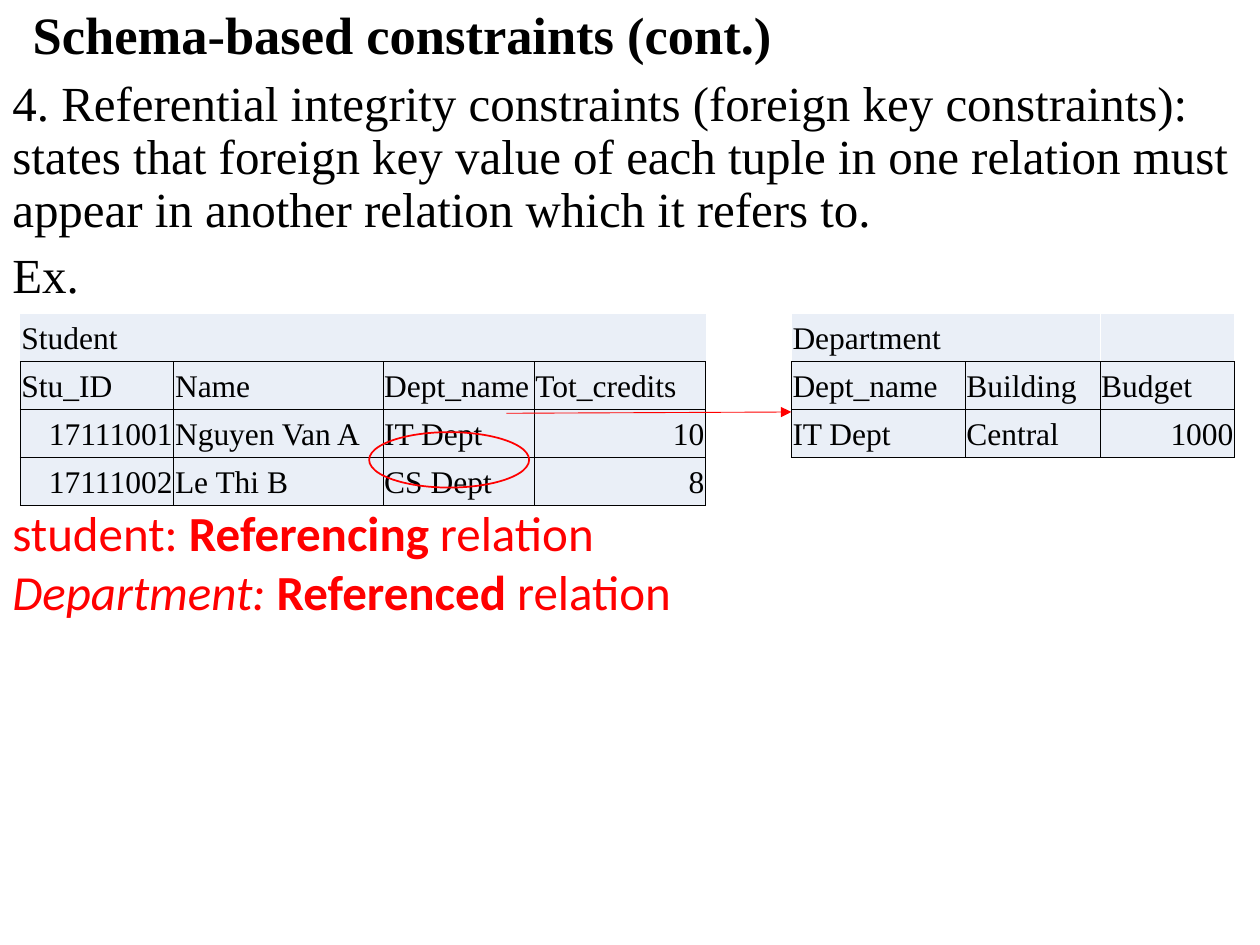
from lxml.etree import SubElement
from pptx import Presentation
from pptx.dml.color import RGBColor
from pptx.enum.shapes import MSO_CONNECTOR, MSO_SHAPE
from pptx.enum.text import MSO_ANCHOR, PP_ALIGN
from pptx.oxml.ns import qn
from pptx.util import Inches, Pt

BLACK = RGBColor(0, 0, 0)
WHITE = RGBColor(255, 255, 255)
RED = RGBColor(255, 0, 0)
PALE = RGBColor(0xEA, 0xEF, 0xF7)
SERIF, SANS = "Times New Roman", "Calibri"

TITLE = "Schema-based constraints (cont.)"
RULE = ("4. Referential integrity constraints (foreign key constraints): states that "
        "foreign key value of each tuple in one relation must appear in another "
        "relation which it refers to.")
# Each note is a list of (text, run format).
NOTES = [
    [("student: ", {}), ("Referencing", {"bold": True}), (" relation", {})],
    [("Department: ", {"italic": True}), ("Referenced", {"bold": True}), (" relation", {})],
]
STUDENT = {
    "left": 0.16, "cols": [1.22, 1.66, 1.2, 1.36], "span": 1, "edge": None,
    "rows": [
        ["Student", "", "", ""],
        ["Stu_ID", "Name", "Dept_name", "Tot_credits"],
        ["17111001", "Nguyen Van A", "IT Dept", "10"],
        ["17111002", "Le Thi B", "CS Dept", "8"],
    ],
}
DEPT = {
    "left": 6.28, "cols": [1.38, 1.07, 1.07], "span": 2, "edge": WHITE,
    "rows": [
        ["Department", "", ""],
        ["Dept_name", "Building", "Budget"],
        ["IT Dept", "Central", "1000"],
    ],
}
TOP, ROW = 2.49, 0.31  # rows grow to fit their text


def write(para, text, size=28, font=SERIF, color=BLACK, bold=False, italic=False):
    run = para.add_run()
    run.text = text
    face = run.font
    face.size, face.name = Pt(size), font
    face.bold, face.italic = bold, italic
    face.color.rgb = color


def place(shape, left, top, width, height):
    shape.left, shape.top = Inches(left), Inches(top)
    shape.width, shape.height = Inches(width), Inches(height)


def set_edges(cell, colors):
    """Draw cell borders in the order left, right, top, bottom; None hides one."""
    props = cell._tc.get_or_add_tcPr()
    for spot, (side, color) in enumerate(zip("LRTB", colors)):
        line = SubElement(props, qn(f"a:ln{side}"), w=str(Pt(0.45)))
        if color is None:
            SubElement(line, qn("a:noFill"))
        else:
            fill = SubElement(line, qn("a:solidFill"))
            SubElement(fill, qn("a:srgbClr"), val=str(color))
        props.insert(spot, line)


def add_grid(slide, data):
    rows, cols = data["rows"], data["cols"]
    frame = slide.shapes.add_table(
        len(rows), len(cols), Inches(data["left"]), Inches(TOP),
        Inches(sum(cols)), Inches(ROW * len(rows)))
    table = frame.table
    for col, width in zip(table.columns, cols):
        col.width = Inches(width)
    for r, row in enumerate(rows):
        table.rows[r].height = Inches(ROW)
        for c, text in enumerate(row):
            cell = table.cell(r, c)
            cell.fill.solid()
            cell.fill.fore_color.rgb = PALE
            cell.vertical_anchor = MSO_ANCHOR.BOTTOM
            cell.margin_left = cell.margin_right = Inches(0.01)
            cell.margin_top = cell.margin_bottom = Inches(0.04)
            edge = BLACK if r else data["edge"]
            set_edges(cell, [edge, edge, edge, BLACK])
            para = cell.text_frame.paragraphs[0]
            if text.isdigit():
                para.alignment = PP_ALIGN.RIGHT
            if text:
                write(para, text, size=18)
            else:
                para.font.size = Pt(12)
    if data["span"] > 1:
        table.cell(0, 0).merge(table.cell(0, data["span"] - 1))


def add_title(slide):
    title = slide.shapes.title
    place(title, 0.16, 0.03, 8.62, 0.54)
    title.text_frame.vertical_anchor = MSO_ANCHOR.MIDDLE
    para = title.text_frame.paragraphs[0]
    para.alignment = PP_ALIGN.LEFT
    para.line_spacing = 0.9
    write(para, TITLE, size=30, bold=True)


def add_body(slide):
    box = slide.shapes.add_textbox(0, 0, 0, 0)
    place(box, 0, 0.58, 10, 6.11)
    frame = box.text_frame
    frame.word_wrap = True
    red = {"font": SANS, "color": RED}
    lines = [
        (0, [(RULE, {})]),
        (7.5, [("Ex.", {})]),
        (117, [(text, red | style) for text, style in NOTES[0]]),  # room for the tables
        (3.7, [(text, red | style) for text, style in NOTES[1]]),
    ]
    for n, (gap, runs) in enumerate(lines):
        para = frame.add_paragraph() if n else frame.paragraphs[0]
        para.line_spacing = 0.9
        para.space_before = Pt(gap)
        for text, style in runs:
            write(para, text, **style)


def add_marks(slide):
    arrow = slide.shapes.add_connector(
        MSO_CONNECTOR.STRAIGHT, Inches(4.02), Inches(3.28), Inches(6.28), Inches(3.27))
    arrow.line.color.rgb = RED
    arrow.line.width = Pt(0.5)
    SubElement(arrow.line._get_or_add_ln(), qn("a:tailEnd"), type="triangle")
    SubElement(arrow._element.spPr, qn("a:effectLst"))
    ring = slide.shapes.add_shape(MSO_SHAPE.OVAL, 0, 0, 0, 0)
    place(ring, 2.93, 3.43, 1.27, 0.44)
    ring.shadow.inherit = False
    ring.fill.background()
    ring.line.color.rgb = RED
    ring.line.width = Pt(1)


def main():
    deck = Presentation()
    deck.slide_width, deck.slide_height = Inches(10), Inches(7.5)
    slide = deck.slides.add_slide(deck.slide_layouts[5])
    add_body(slide)
    add_title(slide)
    for data in (STUDENT, DEPT):
        add_grid(slide, data)
    add_marks(slide)
    deck.save("out.pptx")


if __name__ == "__main__":
    main()
